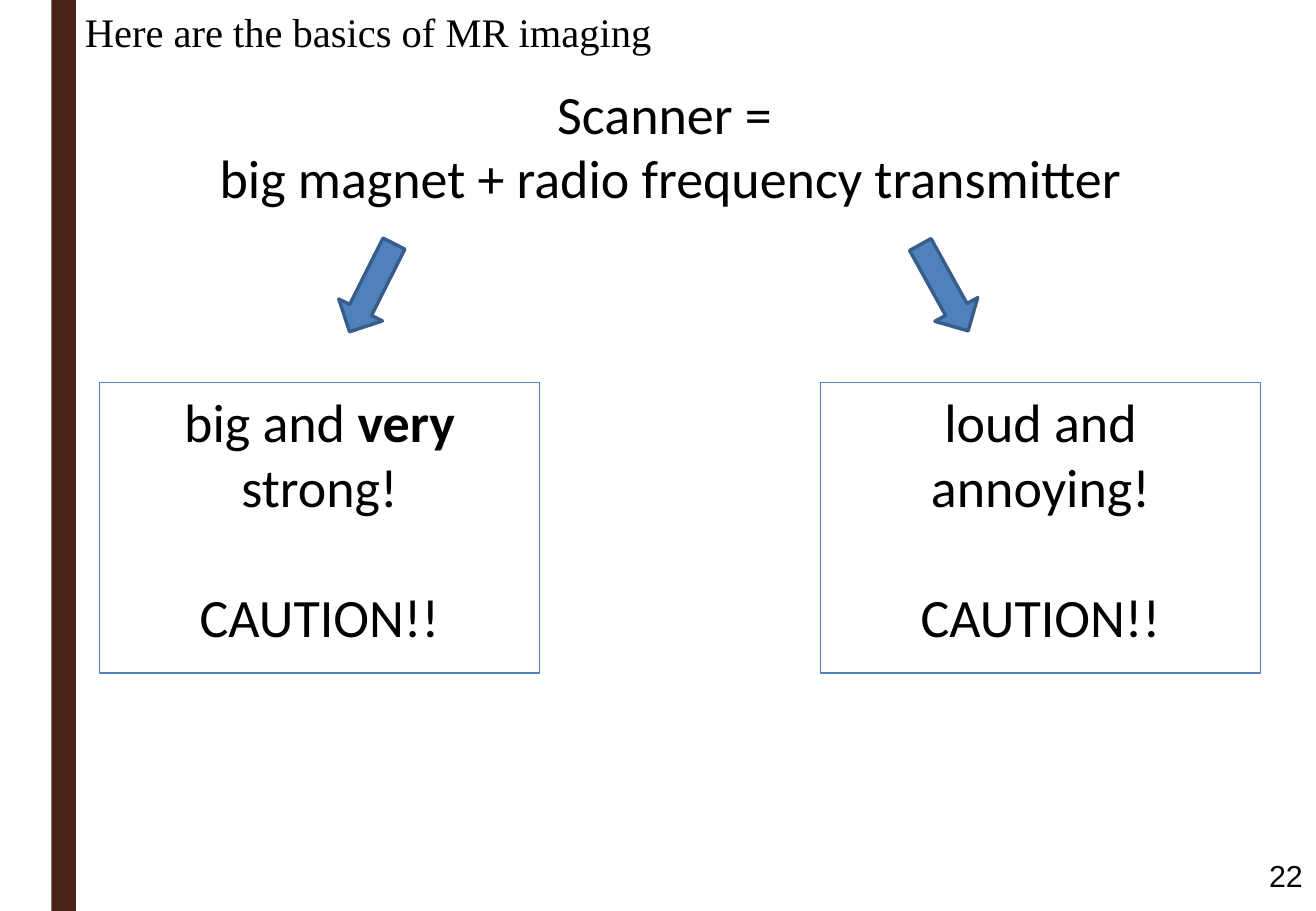
import pptx
import pptx.util
import pptx.dml.color
import pptx.enum.shapes
import pptx.enum.text

Pt = pptx.util.Pt
SHAPE = pptx.enum.shapes.MSO_SHAPE
ALIGN = pptx.enum.text.PP_ALIGN
ANCHOR = pptx.enum.text.MSO_ANCHOR
BLUE = "4F81BD"


def color(code):
    return pptx.dml.color.RGBColor.from_string(code)


def add_form(slide, kind, box, fill=None, line=None, width=0):
    form = slide.shapes.add_shape(kind, *map(Pt, box))
    form.shadow.inherit = False
    if fill:
        form.fill.solid()
        form.fill.fore_color.rgb = color(fill)
    else:
        form.fill.background()
    if line:
        form.line.color.rgb = color(line)
        form.line.width = Pt(width)
    else:
        form.line.fill.background()
    return form


def write(shape, paras, font, size, align, anchor=ANCHOR.TOP, gap=0):
    """Fill a shape with paragraphs, each a list of (text, bold) runs."""
    frame = shape.text_frame
    frame.word_wrap = True
    frame.vertical_anchor = anchor
    for index, runs in enumerate(paras):
        para = frame.add_paragraph() if index else frame.paragraphs[0]
        para.alignment = align
        if index:
            para.space_before = Pt(gap)
        for text, bold in runs:
            run = para.add_run()
            run.text = text
            run.font.name = font
            run.font.size = Pt(size)
            run.font.bold = bold
            run.font.color.rgb = color("000000")


def add_text(slide, box, lines, *style):
    shape = slide.shapes.add_textbox(*map(Pt, box))
    write(shape, [[(line, False)] for line in lines], *style)


def add_branch(slide, box, middle, turn, runs):
    """Place an arrow, centred on middle, above a framed warning."""
    left, top, width, height = box
    wide, tall = 29, 58.5
    arrow = add_form(slide, SHAPE.DOWN_ARROW,
                     (left + middle - wide / 2, top, wide, tall),
                     BLUE, "385D8A", 2)
    arrow.rotation = turn
    drop = 85.5
    frame = add_form(slide, SHAPE.RECTANGLE,
                     (left, top + drop, width, height - drop),
                     line=BLUE, width=0.75)
    write(frame, [runs, [("CAUTION!!", False)]], "Calibri", 32,
          ALIGN.CENTER, ANCHOR.TOP, 39)


def main():
    deck = pptx.Presentation()
    deck.slide_width, deck.slide_height = Pt(779.76), Pt(540)
    slide = deck.slides.add_slide(deck.slide_layouts[6])

    add_form(slide, SHAPE.RECTANGLE, (30.5, 0, 14.5, 540), "4A2318")
    add_text(slide, (598.3, 515.5, 180.7, 18), ["22"],
             "Arial", 18, ALIGN.RIGHT, ANCHOR.BOTTOM)
    add_text(slide, (43.2, 0.7, 353.5, 41), ["Here are the basics of MR imaging"],
             "Times New Roman", 24, ALIGN.LEFT)
    add_text(slide, (43.2, 44, 708.5, 86.4),
             ["Scanner = ", "big magnet + radio frequency transmitter"],
             "Calibri", 32, ALIGN.CENTER)

    add_branch(slide, (59, 141.3, 260.8, 257.7), 161.3, 26.7,
               [("big and ", False), ("very ", True), ("strong!", False)])
    add_branch(slide, (486.2, 141.3, 260.8, 257.7), 73.3, 331,
               [("loud and annoying!", False)])
    deck.save("out.pptx")


if __name__ == "__main__":
    main()
